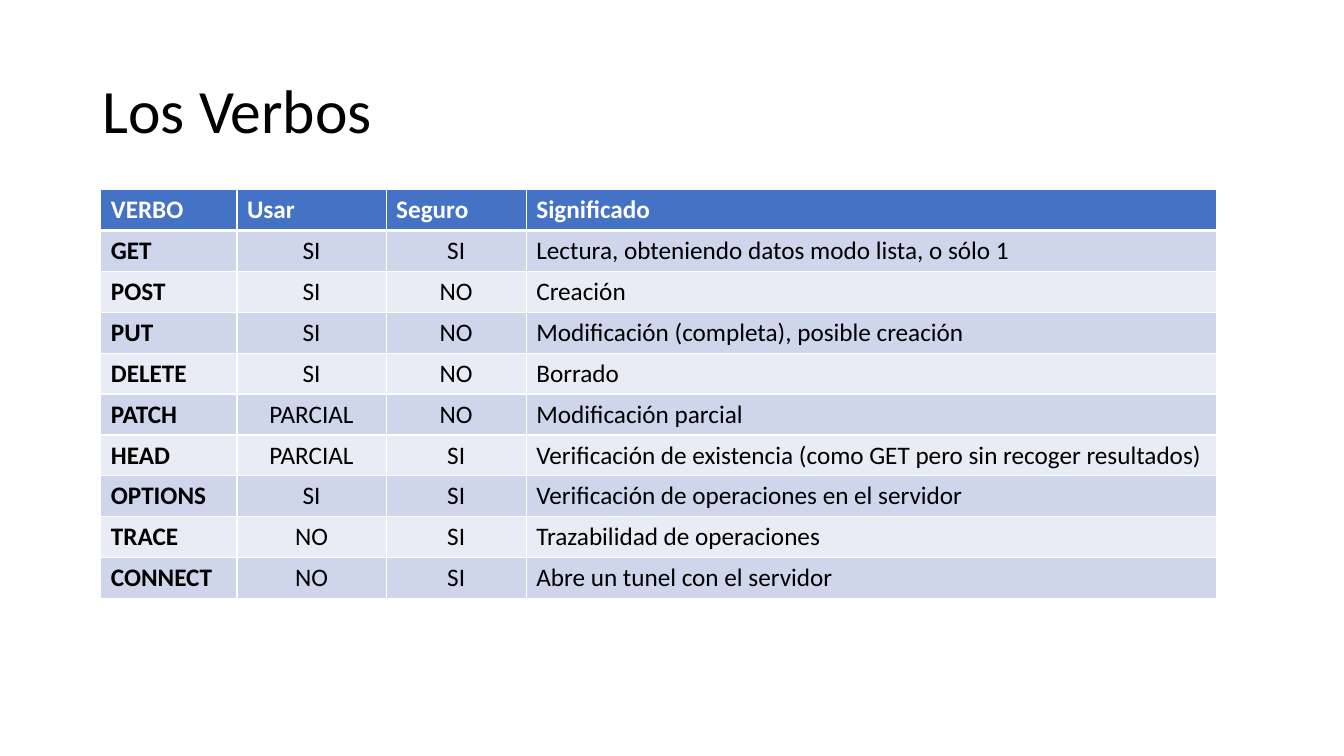
from dataclasses import dataclass

import pptx
import pptx.dml.color
import pptx.enum.text
import pptx.oxml
import pptx.oxml.ns
import pptx.util
from pptx.util import Inches


@dataclass(frozen=True)
class Theme:
    font: str = "Calibri"
    title_size: int = 44
    table_size: int = 18
    text: str = "000000"
    header_text: str = "FFFFFF"
    header_fill: str = "4472C4"
    band_fills: tuple = ("E9EBF5", "CFD5EA")
    border: str = "FFFFFF"
    border_width: float = 0.96
    header_border_width: float = 3


theme = Theme()


def style_paragraph(paragraph, size, color, bold=False):
    paragraph.font.name = theme.font
    paragraph.font.size = pptx.util.Pt(size)
    paragraph.font.bold = bold
    paragraph.font.color.rgb = pptx.dml.color.RGBColor.from_string(color)


def add_border(cell, side, width):
    """Draw one side (L, R, T or B) of a cell; call before setting its fill."""
    cell_properties = cell._tc.get_or_add_tcPr()
    cell_properties.append(pptx.oxml.parse_xml(
        f'<a:ln{side} {pptx.oxml.ns.nsdecls("a")} w="{int(pptx.util.Pt(width))}">'
        f'<a:solidFill><a:srgbClr val="{theme.border}"/></a:solidFill></a:ln{side}>'
    ))


presentation = pptx.Presentation()
presentation.slide_width = Inches(13.33)
presentation.slide_height = Inches(7.5)
slide = presentation.slides.add_slide(presentation.slide_layouts[6])

title = slide.shapes.add_textbox(Inches(0.92), Inches(0.4), Inches(11.5), Inches(1.45))
title.text_frame.word_wrap = True
title.text_frame.vertical_anchor = pptx.enum.text.MSO_ANCHOR.MIDDLE
title_paragraph = title.text_frame.paragraphs[0]
title_paragraph.text = "Los Verbos"
title_paragraph.line_spacing = 0.9
style_paragraph(title_paragraph, theme.title_size, theme.text)

verb_rows = [
    ("VERBO", "Usar", "Seguro", "Significado"),
    ("GET", "SI", "SI", "Lectura, obteniendo datos modo lista, o sólo 1"),
    ("POST", "SI", "NO", "Creación"),
    ("PUT", "SI", "NO", "Modificación (completa), posible creación"),
    ("DELETE", "SI", "NO", "Borrado"),
    ("PATCH", "PARCIAL", "NO", "Modificación parcial"),
    ("HEAD", "PARCIAL", "SI", "Verificación de existencia (como GET pero sin recoger resultados)"),
    ("OPTIONS", "SI", "SI", "Verificación de operaciones en el servidor"),
    ("TRACE", "NO", "SI", "Trazabilidad de operaciones"),
    ("CONNECT", "NO", "SI", "Abre un tunel con el servidor"),
]
column_widths = [1.35, 1.48, 1.39, 6.85]
row_height = 0.406
centered_columns = (1, 2)

table = slide.shapes.add_table(
    len(verb_rows), len(column_widths), Inches(1), Inches(1.88),
    Inches(sum(column_widths)), Inches(row_height * len(verb_rows)),
).table
for column, width in zip(table.columns, column_widths):
    column.width = Inches(width)

for row_index, verb_row in enumerate(verb_rows):
    is_header = row_index == 0
    for column_index, text in enumerate(verb_row):
        cell = table.cell(row_index, column_index)
        for side in "LRTB":
            is_header_line = (row_index, side) in ((0, "B"), (1, "T"))
            add_border(cell, side, theme.header_border_width if is_header_line else theme.border_width)
        fill = theme.header_fill if is_header else theme.band_fills[row_index % 2]
        cell.fill.solid()
        cell.fill.fore_color.rgb = pptx.dml.color.RGBColor.from_string(fill)

        paragraph = cell.text_frame.paragraphs[0]
        paragraph.text = text
        if not is_header and column_index in centered_columns:
            paragraph.alignment = pptx.enum.text.PP_ALIGN.CENTER
        style_paragraph(
            paragraph, theme.table_size,
            theme.header_text if is_header else theme.text,
            bold=is_header or column_index == 0,
        )

presentation.save("out.pptx")
